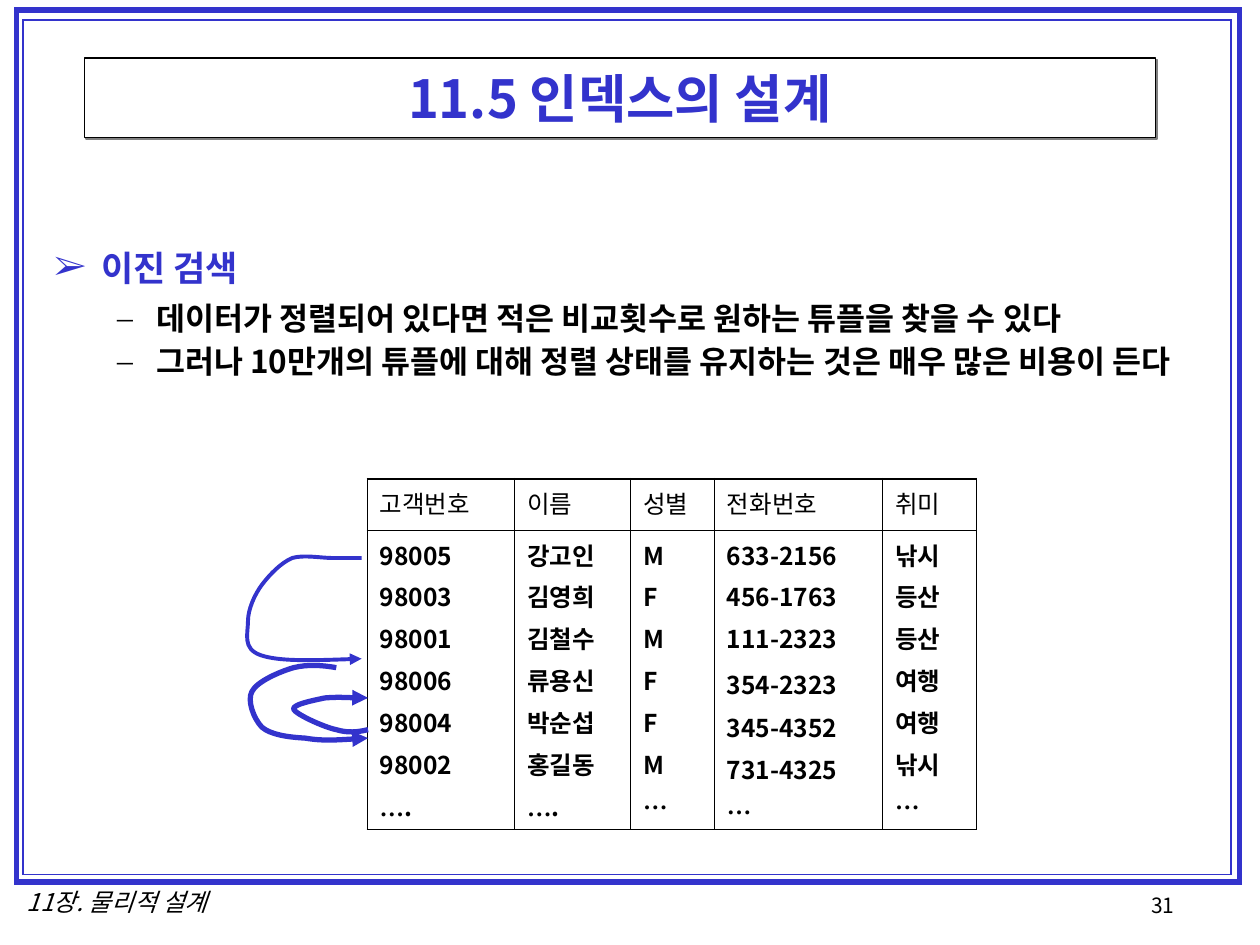
from dataclasses import dataclass

from lxml import etree
from pptx import Presentation
from pptx import util as u
from pptx.dml.color import RGBColor
from pptx.enum import shapes, text
from pptx.oxml import ns

TITLE_ONLY = 5


@dataclass(frozen=True)
class Theme:
    font: str = "Noto Sans CJK KR"
    serif: str = "Times New Roman"
    blue: str = "3333CC"
    black: str = "000000"
    white: str = "FFFFFF"
    grey: str = "808080"
    title: int = 30
    heading: int = 20
    point: int = 18
    small: int = 14
    number: int = 12
    top_border: float = 1.08
    border: float = 0.45


THEME = Theme()


def add_xml(parent, tag, **attributes):
    return etree.SubElement(parent, ns.qn(tag), attributes)


def write(para, words, size=THEME.small, color=THEME.black, bold=False, italic=False,
          font=THEME.font, align=None, before=0, spacing=None):
    """Append one span without pair kerning and set the paragraph's spacing."""
    para.space_before = u.Pt(before)
    if align is not None:
        para.alignment = align
    if spacing:
        para.line_spacing = spacing
    span = para.add_run()
    span.text = words
    span.font.size = u.Pt(size)
    span.font.bold, span.font.italic = bold, italic
    span.font.color.rgb = RGBColor.from_string(color)
    span.font.name = font
    props = span.font._element
    props.set("kern", "0")
    add_xml(props, "a:ea", typeface=font)


def next_para(frame, index):
    return frame.add_paragraph() if index else frame.paragraphs[0]


def set_bullet(para, mark, color, left, hang):
    props = para._p.get_or_add_pPr()
    props.set("marL", str(u.Cm(left)))
    props.set("indent", str(-u.Cm(hang)))
    add_xml(add_xml(props, "a:buClr"), "a:srgbClr", val=color)
    add_xml(props, "a:buFont", typeface=THEME.serif)
    add_xml(props, "a:buChar", char=mark)


def lines_to_curves(shape):
    """Join every three line segments into one cubic curve."""
    lines = list(shape._element.iter(ns.qn("a:lnTo")))
    for first, second, third in zip(lines[::3], lines[1::3], lines[2::3]):
        outline = first.getparent()
        curve = etree.Element(ns.qn("a:cubicBezTo"))
        outline.replace(first, curve)
        for line in (first, second, third):
            curve.append(line[0])
        outline.remove(second)
        outline.remove(third)


class SlideBuilder:
    def __init__(self, deck, theme):
        self.theme = theme
        self.slide = deck.slides.add_slide(deck.slide_layouts[TITLE_ONLY])

    def set_line(self, shape, color, width):
        shape.line.color.rgb = RGBColor.from_string(color)
        shape.line.width = u.Pt(width)

    def frame(self, place, width):
        box = self.slide.shapes.add_shape(shapes.MSO_SHAPE.RECTANGLE, *map(u.Cm, place))
        box.shadow.inherit = False
        box.fill.background()
        self.set_line(box, self.theme.blue, width)
        add_xml(box.line._get_or_add_ln(), "a:miter", lim="800000")

    def title(self, words, place):
        box = self.slide.shapes.title
        box.left, box.top, box.width, box.height = map(u.Cm, place)
        box.fill.solid()
        box.fill.fore_color.rgb = RGBColor.from_string(self.theme.white)
        self.set_line(box, self.theme.black, 0.75)
        effects = add_xml(box._element.spPr, "a:effectLst")
        shadow = add_xml(effects, "a:outerShdw", dist=str(u.Pt(1.4)), dir="2700000", algn="ctr")
        add_xml(shadow, "a:srgbClr", val=self.theme.grey)
        box.text_frame.vertical_anchor = text.MSO_ANCHOR.MIDDLE
        write(box.text_frame.paragraphs[0], words, self.theme.title, self.theme.blue,
              bold=True, align=text.PP_ALIGN.CENTER)

    def text_box(self, place, wrap=True):
        frame = self.slide.shapes.add_textbox(*map(u.Cm, place)).text_frame
        frame.word_wrap = wrap
        return frame

    def bullets(self, heading, points, place):
        frame = self.text_box(place)
        para = frame.paragraphs[0]
        set_bullet(para, "➢", self.theme.blue, 0.95, 0.95)
        write(para, heading, self.theme.heading, self.theme.blue, bold=True, spacing=0.83)
        for index, point in enumerate(points):
            para = frame.add_paragraph()
            set_bullet(para, "–", self.theme.black, 2.06, 0.79)
            write(para, point, self.theme.point, bold=True, spacing=0.83,
                  before=6.4 if index else 10.2)

    def borders(self, cell, top):
        """Draw the four borders, ahead of the cell fill."""
        props = cell._tc.get_or_add_tcPr()
        for index, side in enumerate("LRTB"):
            width = top if side == "T" else self.theme.border
            line = etree.Element(ns.qn("a:ln" + side), w=str(u.Pt(width)))
            fill = add_xml(line, "a:solidFill")
            add_xml(fill, "a:srgbClr", val=self.theme.black)
            props.insert(index, line)

    def table(self, columns, place, widths, heights):
        """Each column is a header, its lines, and its line spacings by index."""
        size = sum(widths), sum(heights)
        table = self.slide.shapes.add_table(
            len(heights), len(widths), *map(u.Cm, place + size)).table
        table.first_row = table.horz_banding = False
        for row, height in zip(table.rows, heights):
            row.height = u.Cm(height)
        for col, (header, lines, spacings) in enumerate(columns):
            table.columns[col].width = u.Cm(widths[col])
            for row, top in enumerate((self.theme.top_border, self.theme.border)):
                cell = table.cell(row, col)
                cell.fill.solid()
                cell.fill.fore_color.rgb = RGBColor.from_string(self.theme.white)
                self.borders(cell, top)
            write(table.cell(0, col).text_frame.paragraphs[0], header)
            body = table.cell(1, col).text_frame
            for index, line in enumerate(lines):
                para = next_para(body, index)
                spacing = spacings.get(index)
                before = 0 if index == 0 or spacing == 1.2 else 3.5
                if line.startswith("…"):
                    write(para, "…", bold=True, font=self.theme.serif, before=before)
                    line = line[1:]
                if line:
                    write(para, line, bold=True, before=before, spacing=spacing)

    def curved_arrow(self, start, points, width):
        """Draw cubic curves; points holds two controls and an end for each."""
        builder = self.slide.shapes.build_freeform(*map(u.Cm, start))
        builder.add_line_segments([tuple(map(u.Cm, point)) for point in points], close=False)
        arrow = builder.convert_to_shape()
        lines_to_curves(arrow)
        arrow.shadow.inherit = False
        arrow.fill.background()
        self.set_line(arrow, self.theme.blue, width)
        add_xml(arrow.line._get_or_add_ln(), "a:tailEnd", type="triangle")


POINTS = ["데이터가 정렬되어 있다면 적은 비교횟수로 원하는 튜플을 찾을 수 있다",
          "그러나 10만개의 튜플에 대해 정렬 상태를 유지하는 것은 매우 많은 비용이 든다"]
CUSTOMERS = [
    ("고객번호", ["98005", "98003", "98001", "98006", "98004", "98002", "…."], {}),
    ("이름", ["강고인", "김영희", "김철수", "류용신", "박순섭", "홍길동", "…."], {}),
    ("성별", ["M", "F", "M", "F", "F", "M", "…"], {}),
    ("전화번호", ["633-2156", "456-1763", "111-2323", "354-2323", "345-4352", "731-4325", "…"],
     {3: 1.1, 4: 1.2, 5: 1.2}),
    ("취미", ["낚시", "등산", "등산", "여행", "여행", "낚시", "…"], {}),
]
SEARCH_STEPS = [
    ((6.78, 13.46), [(6.5, 13.41), (6.2, 13.39), (5.92, 13.46),
                     (5.64, 13.54), (5.18, 13.74), (5.08, 13.94),
                     (4.98, 14.12), (5.11, 14.48), (5.28, 14.66),
                     (5.46, 14.81), (5.79, 14.86), (6.15, 14.88),
                     (6.5, 14.94), (6.96, 14.91), (7.42, 14.88)], 3),
    ((7.42, 14.71), [(7.21, 14.76), (7.01, 14.78), (6.78, 14.71),
                     (6.53, 14.66), (5.97, 14.4), (5.92, 14.3),
                     (5.89, 14.2), (6.32, 14.12), (6.55, 14.07),
                     (6.81, 14.05), (7.11, 14.07), (7.42, 14.07)], 3),
    ((7.29, 11.25), [(7.1, 11.25), (6.9, 11.25), (6.71, 11.25),
                     (6.48, 11.25), (6.12, 11.18), (5.89, 11.25),
                     (5.66, 11.35), (5.44, 11.58), (5.28, 11.79),
                     (5.13, 11.99), (5, 12.29), (5, 12.52),
                     (5, 12.78), (4.88, 13.08), (5.26, 13.21),
                     (5.64, 13.34), (6.45, 13.31), (7.29, 13.28)], 2.25),
]


def main():
    deck = Presentation()
    deck.slide_width, deck.slide_height = u.Cm(25.4), u.Cm(19.05)
    page = SlideBuilder(deck, THEME)
    page.frame((0.33, 0.2, 24.66, 17.58), 3)
    page.frame((0.46, 0.41, 24.36, 17.22), 1)
    write(page.text_box((22.96, 17.86, 2.6, 0.84)).paragraphs[0], "31", THEME.number)
    write(page.text_box((0.1, 17.75, 4.52, 0.86), wrap=False).paragraphs[0],
          "11장. 물리적 설계", italic=True, align=text.PP_ALIGN.CENTER)
    page.title("11.5 인덱스의 설계", (1.7, 1.17, 21.59, 1.6))
    page.bullets("이진 검색", POINTS, (0.84, 4.98, 23.5, 12.34))
    page.table(CUSTOMERS, (7.4, 9.65), (2.97, 2.34, 1.69, 3.39, 1.9), (1.04, 6.02))
    for start, points, width in SEARCH_STEPS:
        page.curved_arrow(start, points, width)
    deck.save("out.pptx")


if __name__ == "__main__":
    main()
